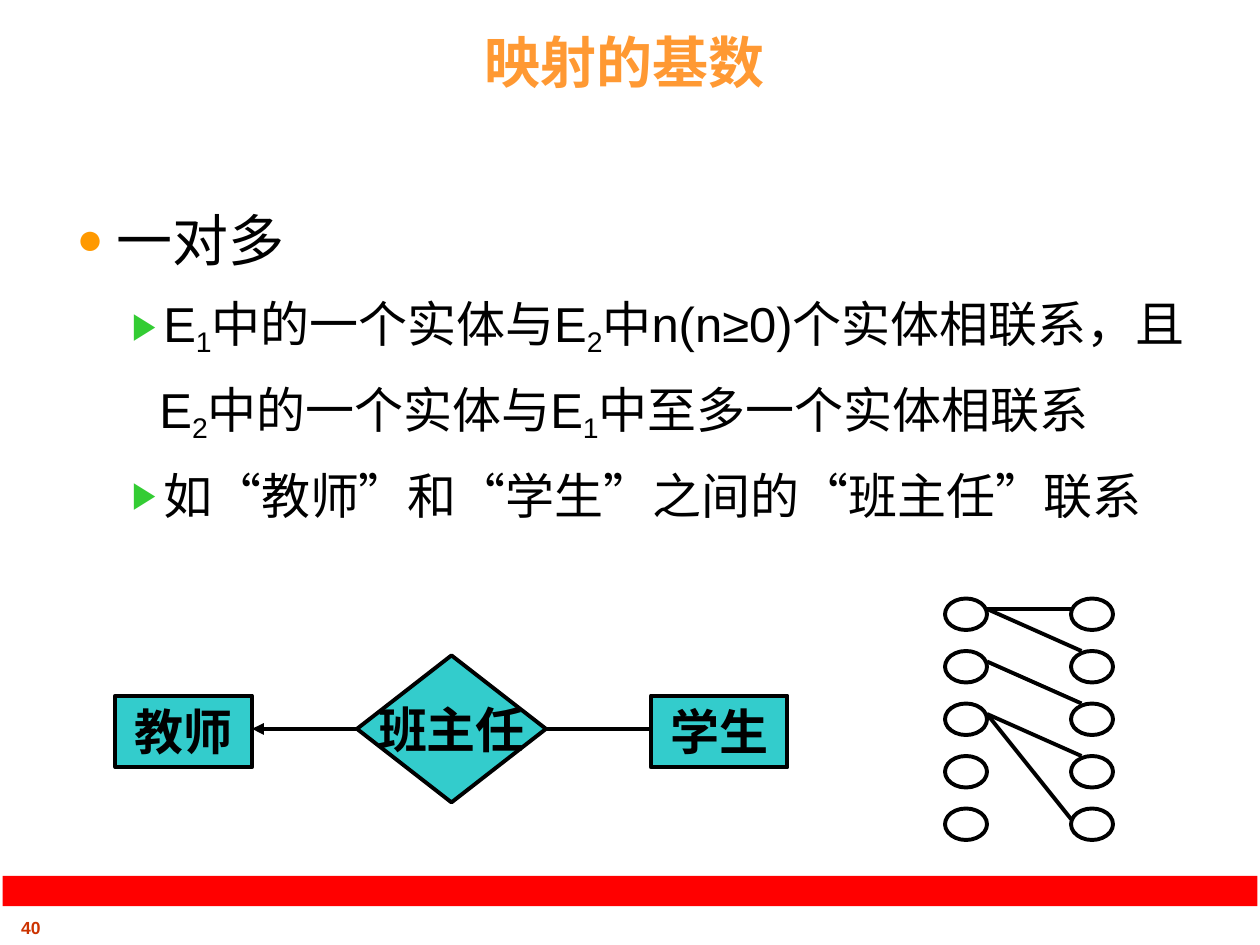
from dataclasses import dataclass
from lxml import etree
from pptx import Presentation
from pptx.dml.color import RGBColor
from pptx.enum.shapes import MSO_CONNECTOR, MSO_SHAPE
from pptx.enum.text import MSO_ANCHOR, PP_ALIGN
from pptx.oxml.ns import qn
from pptx.util import Pt

RECT, DIAMOND, OVAL = MSO_SHAPE.RECTANGLE, MSO_SHAPE.DIAMOND, MSO_SHAPE.OVAL
STRAIGHT = MSO_CONNECTOR.STRAIGHT
TOP, MIDDLE, BOTTOM = MSO_ANCHOR.TOP, MSO_ANCHOR.MIDDLE, MSO_ANCHOR.BOTTOM
CENTER = PP_ALIGN.CENTER
BLACK = RGBColor(0x00, 0x00, 0x00)
RED = RGBColor(0xFF, 0x00, 0x00)
TEAL = RGBColor(0x33, 0xCC, 0xCC)
TITLE_ORANGE = RGBColor(0xFF, 0x99, 0x33)
BULLET_ORANGE = RGBColor(0xFF, 0x99, 0x00)
BULLET_GREEN = RGBColor(0x33, 0xCC, 0x33)
NUMBER_RED = RGBColor(0xCC, 0x33, 0x00)
SANS, SERIF = "Arial", "Times New Roman"
LINE_WIDTH = 2.25


@dataclass
class Bullet:
    char: str
    color: RGBColor
    percent: int


@dataclass
class Item:
    runs: list[str]
    size: float
    level: int
    margin: float
    indent: float
    before: float = 0
    bullet: Bullet | None = None


@dataclass
class Node:
    kind: int
    box: tuple[float, float, float, float]
    text: str
    anchor: int
    wrap: bool


@dataclass
class Link:
    start: tuple[float, float]
    end: tuple[float, float]
    arrow: bool = False


DOT = Bullet("●", BULLET_ORANGE, 80)
TRIANGLE = Bullet("▶", BULLET_GREEN, 75)
ITEMS = [
    Item(["一对多"], 32, 1, 58.5, -22.5, bullet=DOT),
    Item(["E", "1", "中的一个实体与E", "2", "中n(n≥0)个实体相联系，且"],
         28, 2, 85.5, -18, 12.2, TRIANGLE),
    Item(["E", "2", "中的一个实体与E", "1", "中至多一个实体相联系"],
         28, 2, 85.5, -2.2, 12.2),
    Item(["如“教师”和“学生”之间的“班主任”联系"],
         28, 2, 85.5, -18, 12.2, TRIANGLE),
]
NODES = [
    Node(RECT, (66, 397.5, 78, 41), "教师", TOP, True),
    Node(RECT, (372, 397.5, 78, 41), "学生", TOP, True),
    Node(DIAMOND, (204, 374.5, 108, 84), "班主任", MIDDLE, False),
]
RELATION_LINKS = [
    Link((144, 416.5), (204, 416.5), arrow=True),
    Link((312, 416.5), (372, 416.5)),
]
OVAL_COLUMNS = (540, 612)
OVAL_TOP, OVAL_PITCH, OVAL_COUNT = 342, 30, 5
OVAL_W, OVAL_H = 24, 18
MAPPING_LINKS = [
    Link((612.5, 348), (564, 348)),
    Link((618, 432), (564, 408)),
    Link((618, 402), (564, 378)),
    Link((618, 372), (564, 348)),
    Link((612, 468), (564, 408)),
]


def add_run(p, text: str, size: float, font: str, color: RGBColor,
            bold: bool = False):
    r = p.add_run()
    r.text = text
    r.font.size = Pt(size)
    r.font.name = font
    r.font.color.rgb = color
    r.font.bold = bold
    return r


def add_text(s, box: tuple, anchor: int = TOP, wrap: bool = True):
    tf = s.shapes.add_textbox(*map(Pt, box)).text_frame
    tf.word_wrap = wrap
    tf.vertical_anchor = anchor
    return tf


def add_label(s, box: tuple, text: str, size: float, color: RGBColor,
              anchor: int = TOP, wrap: bool = True) -> None:
    p = add_text(s, box, anchor, wrap).paragraphs[0]
    p.alignment = CENTER
    add_run(p, text, size, SANS, color, True)


def add_shape(s, kind: int, box: tuple, fill: RGBColor | None = None,
              line: RGBColor | None = BLACK):
    sp = s.shapes.add_shape(kind, *map(Pt, box))
    sp.shadow.inherit = False
    if fill is None:
        sp.fill.background()
    else:
        sp.fill.solid()
        sp.fill.fore_color.rgb = fill
    if line is None:
        sp.line.fill.background()
    else:
        sp.line.color.rgb = line
        sp.line.width = Pt(LINE_WIDTH)
    return sp


def add_node(s, node: Node) -> None:
    tf = add_shape(s, node.kind, node.box, TEAL).text_frame
    tf.word_wrap = node.wrap
    tf.vertical_anchor = node.anchor
    p = tf.paragraphs[0]
    p.alignment = CENTER
    add_run(p, node.text, 28, SERIF, BLACK, True)


def add_link(s, link: Link) -> None:
    c = s.shapes.add_connector(STRAIGHT, *map(Pt, link.start + link.end))
    c.line.color.rgb = BLACK
    c.line.width = Pt(LINE_WIDTH)
    if link.arrow:
        etree.SubElement(c.line._get_or_add_ln(), qn("a:headEnd"), type="triangle")
    etree.SubElement(c._element.spPr, qn("a:effectLst"))


def add_item(p, item: Item) -> None:
    p.level = item.level - 1
    p.space_before = Pt(item.before)
    pPr = p._p.get_or_add_pPr()
    pPr.set("marL", str(Pt(item.margin)))
    pPr.set("indent", str(Pt(item.indent)))
    if item.bullet:
        clr = etree.SubElement(pPr, qn("a:buClr"))
        etree.SubElement(clr, qn("a:srgbClr"), val=str(item.bullet.color))
        etree.SubElement(pPr, qn("a:buSzPct"), val=str(item.bullet.percent * 1000))
        etree.SubElement(pPr, qn("a:buFont"), typeface=SANS)
        etree.SubElement(pPr, qn("a:buChar"), char=item.bullet.char)
    else:
        etree.SubElement(pPr, qn("a:buNone"))
    for i, text in enumerate(item.runs):
        r = add_run(p, text, item.size, SANS, BLACK)
        if i % 2:
            r.font._element.set("baseline", "-20000")


def main() -> None:
    prs = Presentation()
    prs.slide_width, prs.slide_height = Pt(720), Pt(540)
    s = prs.slides.add_slide(prs.slide_layouts[6])

    add_label(s, (-13.7, 520.5, 62.6, 19.5), "40", 10, NUMBER_RED, wrap=False)
    add_shape(s, RECT, (1.5, 500.5, 717, 17.3), RED, None)

    tf = add_text(s, (0.7, 113.8, 705, 235.4))
    for i, item in enumerate(ITEMS):
        add_item(tf.add_paragraph() if i else tf.paragraphs[0], item)
    add_label(s, (18, 9.4, 678, 48.2), "映射的基数", 32, TITLE_ORANGE, BOTTOM)

    for node in NODES:
        add_node(s, node)
    for x in OVAL_COLUMNS:
        for i in range(OVAL_COUNT):
            add_shape(s, OVAL, (x, OVAL_TOP + i * OVAL_PITCH, OVAL_W, OVAL_H))
    for link in RELATION_LINKS + MAPPING_LINKS:
        add_link(s, link)

    prs.save("out.pptx")


if __name__ == "__main__":
    main()
